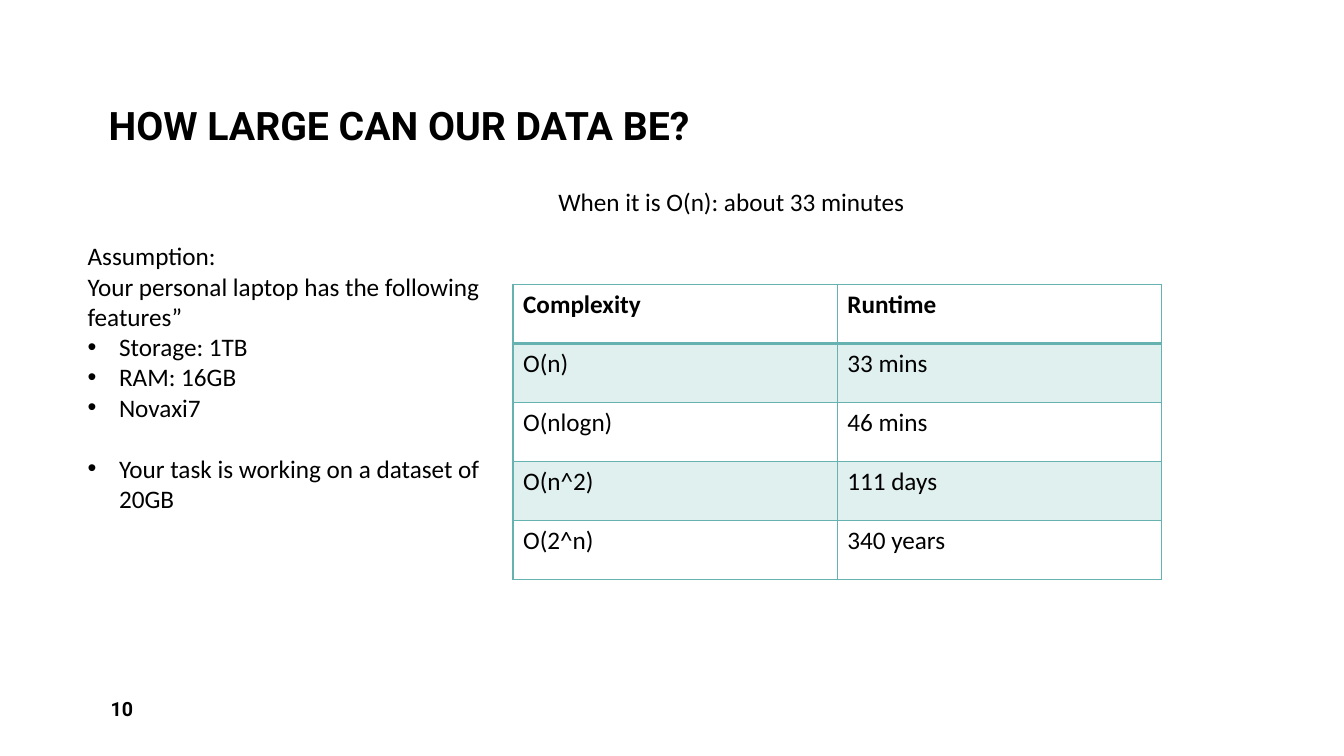
from dataclasses import dataclass

from lxml import etree
from pptx import Presentation
from pptx.dml.color import RGBColor
from pptx.enum.text import MSO_ANCHOR
from pptx.oxml.ns import qn
from pptx.util import Cm, Pt

ANCHOR_TOP = MSO_ANCHOR.TOP
ANCHOR_MIDDLE = MSO_ANCHOR.MIDDLE
ANCHOR_BOTTOM = MSO_ANCHOR.BOTTOM

COLORS = {"text": "000000", "border": "66B2B0", "band": "E0F0EF"}
HEADING_FONT = "Roboto"
BODY_FONT = "Calibri"
BODY_SIZE = 18
BULLET_INDENT = Cm(0.79)
THIN_BORDER = Pt(1)
HEADER_BORDER = Pt(2)

RUNTIMES = [
    ("Complexity", "Runtime"),
    ("O(n)", "33 mins"),
    ("O(nlogn)", "46 mins"),
    ("O(n^2)", "111 days"),
    ("O(2^n)", "340 years"),
]


@dataclass(frozen=True)
class Line:
    text: str
    bullet: bool = False
    space_before: float = 0


@dataclass(frozen=True)
class TextBlock:
    """A text box; its position and size are in centimetres."""

    left: float
    top: float
    width: float
    height: float
    lines: tuple[Line, ...]
    font: str = BODY_FONT
    size: float = BODY_SIZE
    bold: bool = False
    anchor: MSO_ANCHOR = ANCHOR_TOP
    line_spacing: float = 1.0


TEXT_BLOCKS = [
    TextBlock(2.49, 0.2, 28.91, 3.68, (Line("HOW LARGE CAN OUR DATA BE?"),),
              HEADING_FONT, 28, True, ANCHOR_BOTTOM, 0.9),
    TextBlock(2.54, 17.35, 7.42, 1.02, (Line("10"),),
              HEADING_FONT, 14, True, ANCHOR_MIDDLE),
    TextBlock(1.96, 5.94, 10.41, 7.19, (
        Line("Assumption:"),
        Line("Your personal laptop has the following features”"),
        Line("Storage: 1TB", bullet=True),
        Line("RAM: 16GB", bullet=True),
        Line("Novaxi7", bullet=True),
        Line("Your task is working on a dataset of 20GB", bullet=True, space_before=22),
    )),
    TextBlock(13.82, 4.57, 17.55, 2.57, (Line("When it is O(n): about 33 minutes"),)),
]


def add_run(paragraph, text: str, font: str, size: float, bold: bool) -> None:
    run = paragraph.add_run()
    run.text = text
    run.font.name = font
    run.font.size = Pt(size)
    run.font.bold = bold
    run.font.color.rgb = RGBColor.from_string(COLORS["text"])


def add_bullet(paragraph) -> None:
    properties = paragraph._p.get_or_add_pPr()
    properties.set("marL", str(BULLET_INDENT))
    properties.set("indent", str(-BULLET_INDENT))
    etree.SubElement(properties, qn("a:buFont"), typeface="Arial")
    etree.SubElement(properties, qn("a:buChar"), char="•")


def add_text_block(slide, block: TextBlock) -> None:
    shape = slide.shapes.add_textbox(
        Cm(block.left), Cm(block.top), Cm(block.width), Cm(block.height))
    frame = shape.text_frame
    frame.word_wrap = True
    frame.vertical_anchor = block.anchor
    for index, line in enumerate(block.lines):
        paragraph = frame.add_paragraph() if index else frame.paragraphs[0]
        if line.bullet:
            add_bullet(paragraph)
        paragraph.line_spacing = block.line_spacing
        if line.space_before:
            paragraph.space_before = Pt(line.space_before)
        add_run(paragraph, line.text, block.font, block.size, block.bold)


def add_cell_borders(cell, top: int, bottom: int) -> None:
    properties = cell._tc.get_or_add_tcPr()
    widths = {"lnL": THIN_BORDER, "lnR": THIN_BORDER, "lnT": top, "lnB": bottom}
    for side, width in widths.items():
        border = etree.SubElement(properties, qn(f"a:{side}"), w=str(width))
        fill = etree.SubElement(border, qn("a:solidFill"))
        etree.SubElement(fill, qn("a:srgbClr"), val=COLORS["border"])


def add_runtime_table(slide) -> None:
    column_count = len(RUNTIMES[0])
    table = slide.shapes.add_table(
        len(RUNTIMES), column_count, Cm(12.93), Cm(7.16),
        Cm(8.17) * column_count, Cm(1.49) * len(RUNTIMES)).table
    table.first_row = False
    table.horz_banding = False
    for row, values in enumerate(RUNTIMES):
        for column, value in enumerate(values):
            cell = table.cell(row, column)
            add_cell_borders(
                cell,
                top=HEADER_BORDER if row == 1 else THIN_BORDER,
                bottom=HEADER_BORDER if row == 0 else THIN_BORDER)
            if row % 2:
                cell.fill.solid()
                cell.fill.fore_color.rgb = RGBColor.from_string(COLORS["band"])
            else:
                cell.fill.background()
            add_run(cell.text_frame.paragraphs[0], value,
                    BODY_FONT, BODY_SIZE, bold=row == 0)


def main() -> None:
    presentation = Presentation()
    presentation.slide_width = Cm(33.87)
    presentation.slide_height = Cm(19.05)
    slide = presentation.slides.add_slide(presentation.slide_layouts[6])
    for block in TEXT_BLOCKS:
        add_text_block(slide, block)
    add_runtime_table(slide)
    presentation.save("out.pptx")


if __name__ == "__main__":
    main()
